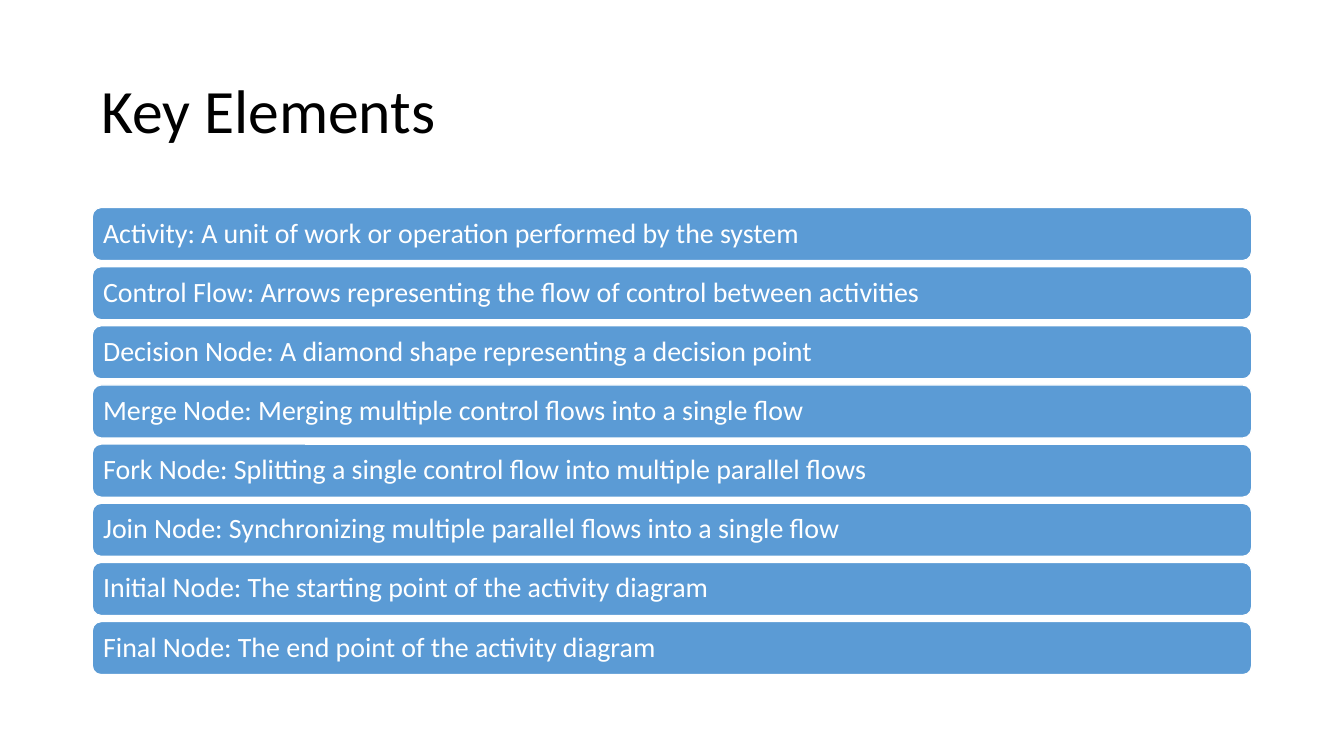
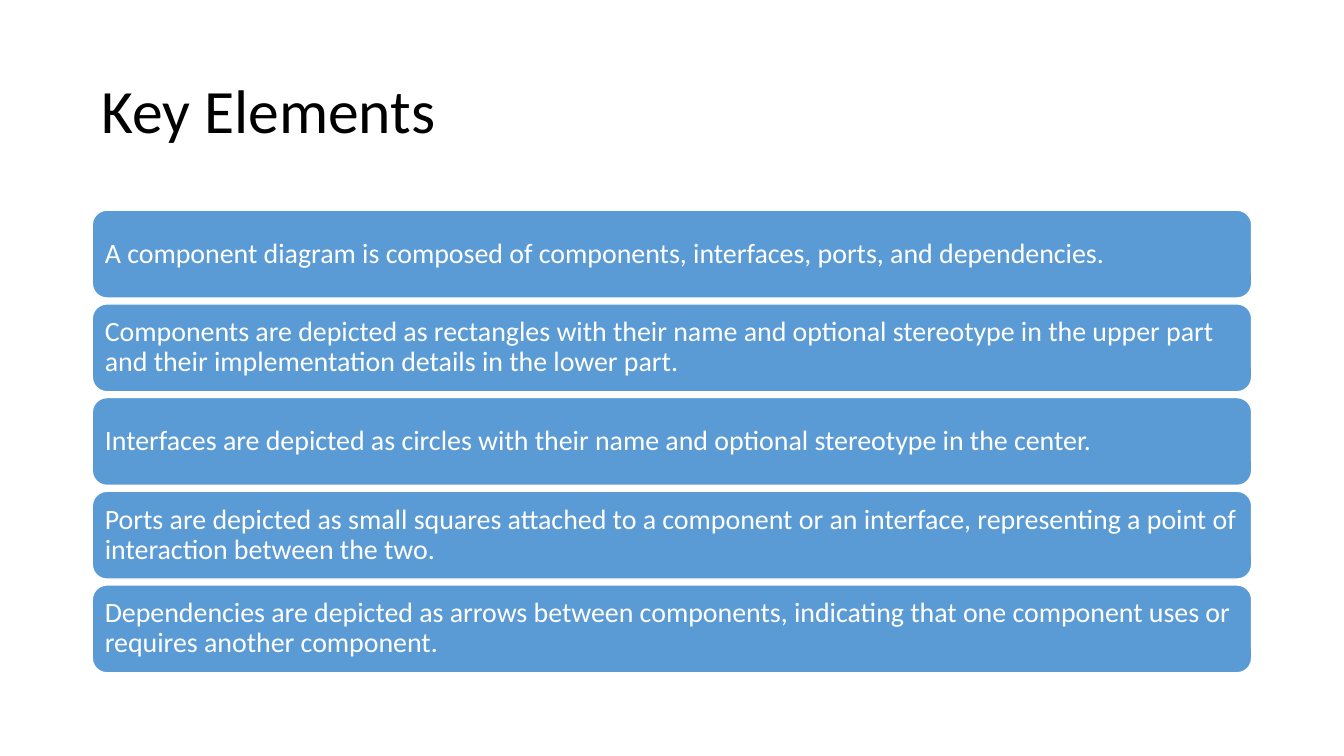
"""Build two slides that list key diagram elements as stacked bars."""
import dataclasses

import pptx
import pptx.dml.color
import pptx.enum.shapes
import pptx.enum.text
import pptx.util

SLIDES = [
    {
        "title": "Key Elements",
        "top": 227, "bottom": 738, "bar_height": 58,
        "bars": [
            "Activity: A unit of work or operation performed by the system",
            "Control Flow: Arrows representing the flow of control between activities",
            "Decision Node: A diamond shape representing a decision point",
            "Merge Node: Merging multiple control flows into a single flow",
            "Fork Node: Splitting a single control flow into multiple parallel flows",
            "Join Node: Synchronizing multiple parallel flows into a single flow",
            "Initial Node: The starting point of the activity diagram",
            "Final Node: The end point of the activity diagram",
        ],
    },
    {
        "title": "Key Elements",
        "top": 230, "bottom": 736, "bar_height": 96,
        "bars": [
            "A component diagram is composed of components, interfaces, ports, and dependencies.",
            "Components are depicted as rectangles with their name and optional stereotype "
            "in the upper part and their implementation details in the lower part.",
            "Interfaces are depicted as circles with their name and optional stereotype in the center.",
            "Ports are depicted as small squares attached to a component or an interface, "
            "representing a point of interaction between the two.",
            "Dependencies are depicted as arrows between components, indicating that one "
            "component uses or requires another component.",
        ],
    },
]

SLIDE_SIZE = (1470, 827)
TITLE_BOX = (101, 44, 1268, 160)
BAR_LEFT, BAR_WIDTH, BAR_INSET = 101, 1268, 9
PX = 9144


@dataclasses.dataclass(frozen=True)
class Theme:
    font: str = "Calibri"
    title_color: str = "000000"
    bar_fill: str = "5B9BD5"
    bar_text: str = "FFFFFF"
    bar_line: str = "FFFFFF"
    title_size: float = 48.5
    bar_size: float = 22
    line_width: float = 1
    line_spacing: float = 0.9


THEME = Theme()


def px(value):
    return pptx.util.Emu(round(value * PX))


def rgb(value):
    return pptx.dml.color.RGBColor.from_string(value)


def write(shape, text, size, color):
    tf = shape.text_frame
    tf.text = text
    tf.word_wrap = True
    tf.auto_size = pptx.enum.text.MSO_AUTO_SIZE.NONE
    tf.vertical_anchor = pptx.enum.text.MSO_ANCHOR.MIDDLE
    p = tf.paragraphs[0]
    p.alignment = pptx.enum.text.PP_ALIGN.LEFT
    p.line_spacing = THEME.line_spacing
    font = p.runs[0].font
    font.name = THEME.font
    font.size = pptx.util.Pt(size)
    font.color.rgb = rgb(color)


def add_title(s, text):
    title = s.shapes.title
    title.left, title.top, title.width, title.height = map(px, TITLE_BOX)
    write(title, text, THEME.title_size, THEME.title_color)


def add_bar(s, text, top, height):
    bar = s.shapes.add_shape(
        pptx.enum.shapes.MSO_SHAPE.ROUNDED_RECTANGLE,
        px(BAR_LEFT), px(top), px(BAR_WIDTH), px(height))
    bar.shadow.inherit = False
    bar.fill.solid()
    bar.fill.fore_color.rgb = rgb(THEME.bar_fill)
    bar.line.color.rgb = rgb(THEME.bar_line)
    bar.line.width = pptx.util.Pt(THEME.line_width)
    write(bar, text, THEME.bar_size, THEME.bar_text)
    tf = bar.text_frame
    tf.margin_left = tf.margin_right = tf.margin_top = tf.margin_bottom = px(BAR_INSET)


def add_slide(prs, content):
    s = prs.slides.add_slide(prs.slide_layouts.get_by_name("Title Only"))
    add_title(s, content["title"])
    bars, height = content["bars"], content["bar_height"]
    pitch = (content["bottom"] - content["top"] - height) / (len(bars) - 1)
    for i, text in enumerate(bars):
        add_bar(s, text, content["top"] + i * pitch, height)


def main():
    prs = pptx.Presentation()
    prs.slide_width, prs.slide_height = map(px, SLIDE_SIZE)
    for content in SLIDES:
        add_slide(prs, content)
    prs.save("out.pptx")


if __name__ == "__main__":
    main()
